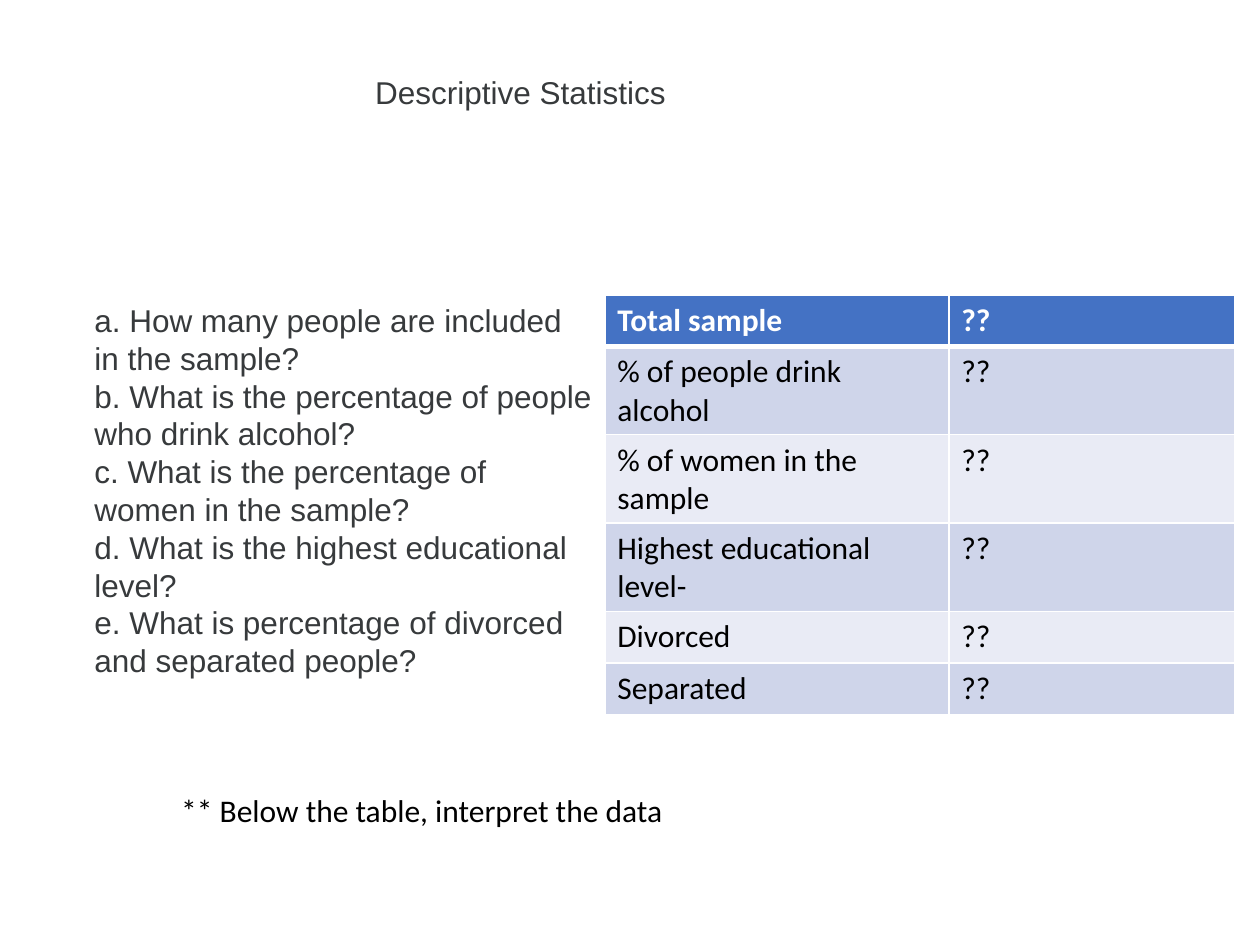
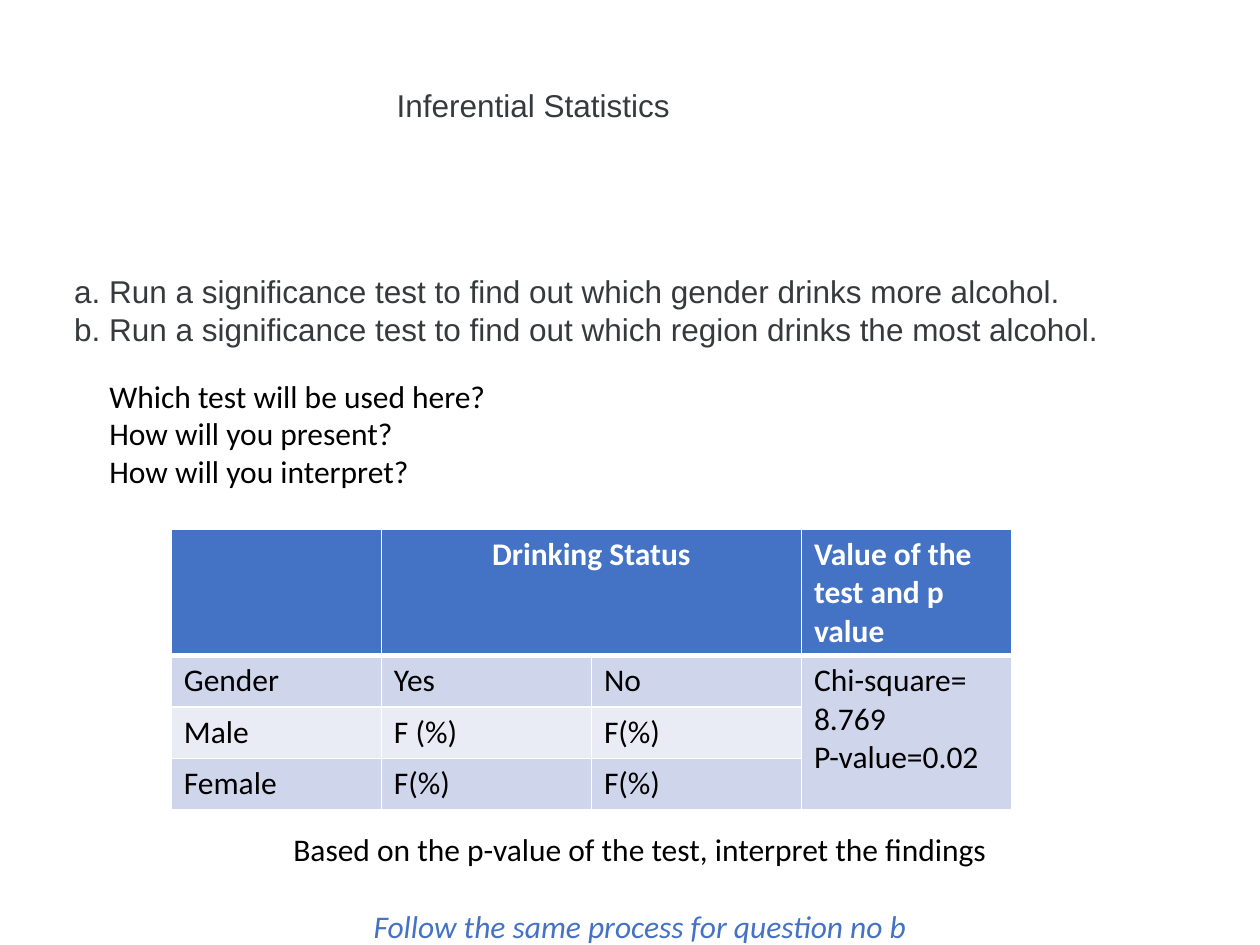
from lxml.etree import SubElement
from pptx import Presentation
from pptx.dml.color import RGBColor
from pptx.enum.text import MSO_AUTO_SIZE as AutoSize, PP_ALIGN as Align
from pptx.oxml.ns import qn
from pptx.util import Inches, Pt

SLIDE_WIDTH, SLIDE_HEIGHT = Inches(10), Inches(7.5)
COLUMNS, ROWS = 100, 75
TEXT_SIZE = 18
LINE_GAP = 22
ROW_HEIGHT = 4.1

WHITE, BLACK, GREY, BLUE = "FFFFFF", "000000", "373A3C", "4472C4"
BANDS = ["CFD5EA", "E9EBF5"]

PROMPT = {"font": "Arial", "color": GREY}
NOTE = {"font": "Calibri", "color": BLACK}
FOLLOW_UP = {"font": "Calibri", "color": BLUE, "italic": True, "align": Align.CENTER, "before": LINE_GAP}
HEADER = {"font": "Calibri", "color": WHITE, "bold": True}

SLIDES = [
    {
        "title": ("Descriptive Statistics", 28.8, 5.3),
        "texts": [
            ((6.5, 23.4, 41.5, 31.3), True, [
                ("a. How many people are included in the sample?", PROMPT),
                ("b. What is the percentage of people who drink alcohol?", PROMPT),
                ("c. What is the percentage of women in the sample?", PROMPT),
                ("d. What is the highest educational level?", PROMPT),
                ("e. What is percentage of divorced and separated people?", PROMPT),
            ]),
            ((13.4, 62.3, 73, 4), True, [("** Below the table, interpret the data", NOTE)]),
        ],
        "table": {
            "at": (48, 23.4),
            "widths": [27.3, 22.7],
            "merges": [],
            "cells": [
                ["Total sample", "??"],
                ["% of people drink alcohol", "??"],
                ["% of women in the sample", "??"],
                ["Highest educational level-", "??"],
                ["Divorced", "??"],
                ["Separated", "??"],
            ],
        },
    },
    {
        "title": ("Inferential Statistics", 30.5, 6.3),
        "texts": [
            ((4.9, 21.1, 84.1, 7.1), True, [
                ("a. Run a significance test to find out which gender drinks more alcohol.", PROMPT),
                ("b. Run a significance test to find out which region drinks the most alcohol.", PROMPT),
            ]),
            ((7.7, 29.4, 57.3, 10.1), True, [
                ("Which test will be used here?", NOTE),
                ("How will you present?", NOTE),
                ("How will you interpret?", NOTE),
            ]),
            ((22.3, 65.4, 57.7, 10.1), False, [
                ("Based on the p-value of the test, interpret the findings", NOTE),
                ("Follow the same process for question no b", FOLLOW_UP),
            ]),
        ],
        "table": {
            "at": (13.6, 42),
            "widths": [16.67] * 4,
            "merges": [((0, 1), (0, 2)), ((1, 3), (3, 3))],
            "cells": [
                ["", "Drinking Status", "", "Value of the test and p value"],
                ["Gender", "Yes", "No", "Chi-square= 8.769\nP-value=0.02"],
                ["Male", "F (%)", "F(%)", ""],
                ["Female", "F(%)", "F(%)", ""],
            ],
        },
    },
]


def rgb(color):
    return RGBColor.from_string(color)


def across(columns):
    return round(SLIDE_WIDTH * columns / COLUMNS)


def down(rows):
    return round(SLIDE_HEIGHT * rows / ROWS)


def write(frame, lines):
    for index, (text, style) in enumerate(lines):
        paragraph = frame.add_paragraph() if index else frame.paragraphs[0]
        paragraph.alignment = style.get("align", Align.LEFT)
        paragraph.space_before = Pt(style.get("before", 0))
        run = paragraph.add_run()
        run.text = text
        run.font.name = style["font"]
        run.font.size = Pt(TEXT_SIZE)
        run.font.bold = style.get("bold", False)
        run.font.italic = style.get("italic", False)
        run.font.color.rgb = rgb(style["color"])


def add_text(slide, area, wraps, lines):
    left, top, width, height = area
    shape = slide.shapes.add_textbox(across(left), down(top), across(width), down(height))
    frame = shape.text_frame
    frame.word_wrap = wraps
    frame.auto_size = AutoSize.SHAPE_TO_FIT_TEXT
    write(frame, lines)


def add_borders(cell, row):
    properties = cell._tc.get_or_add_tcPr()
    widths = {"lnL": 1, "lnR": 1, "lnT": 3 if row == 1 else 1, "lnB": 3 if row == 0 else 1}
    for side, width in widths.items():
        line = SubElement(properties, qn(f"a:{side}"), w=str(Pt(width)))
        fill = SubElement(line, qn("a:solidFill"))
        SubElement(fill, qn("a:srgbClr"), val=WHITE)


def add_table(slide, at, widths, merges, cells):
    left, top = at
    height = ROW_HEIGHT * len(cells)
    table = slide.shapes.add_table(
        len(cells), len(widths), across(left), down(top), across(sum(widths)), down(height)
    ).table
    for column, width in zip(table.columns, widths):
        column.width = across(width)
    for start, end in merges:
        table.cell(*start).merge(table.cell(*end))
    for row, texts in enumerate(cells):
        table.rows[row].height = down(ROW_HEIGHT)
        for column, text in enumerate(texts):
            cell = table.cell(row, column)
            add_borders(cell, row)
            cell.fill.solid()
            cell.fill.fore_color.rgb = rgb(BANDS[(row - 1) % 2] if row else BLUE)
            style = NOTE if row else HEADER
            if cell.is_merge_origin and cell.span_width > 1:
                style = {**style, "align": Align.CENTER}
            if text:
                write(cell.text_frame, [(line, style) for line in text.split("\n")])


def main():
    presentation = Presentation()
    presentation.slide_width, presentation.slide_height = SLIDE_WIDTH, SLIDE_HEIGHT
    for content in SLIDES:
        slide = presentation.slides.add_slide(presentation.slide_layouts[6])
        title, left, top = content["title"]
        add_text(slide, (left, top, 50, 4), True, [(title, PROMPT)])
        for area, wraps, lines in content["texts"]:
            add_text(slide, area, wraps, lines)
        add_table(slide, **content["table"])
    presentation.save("out.pptx")


if __name__ == "__main__":
    main()
